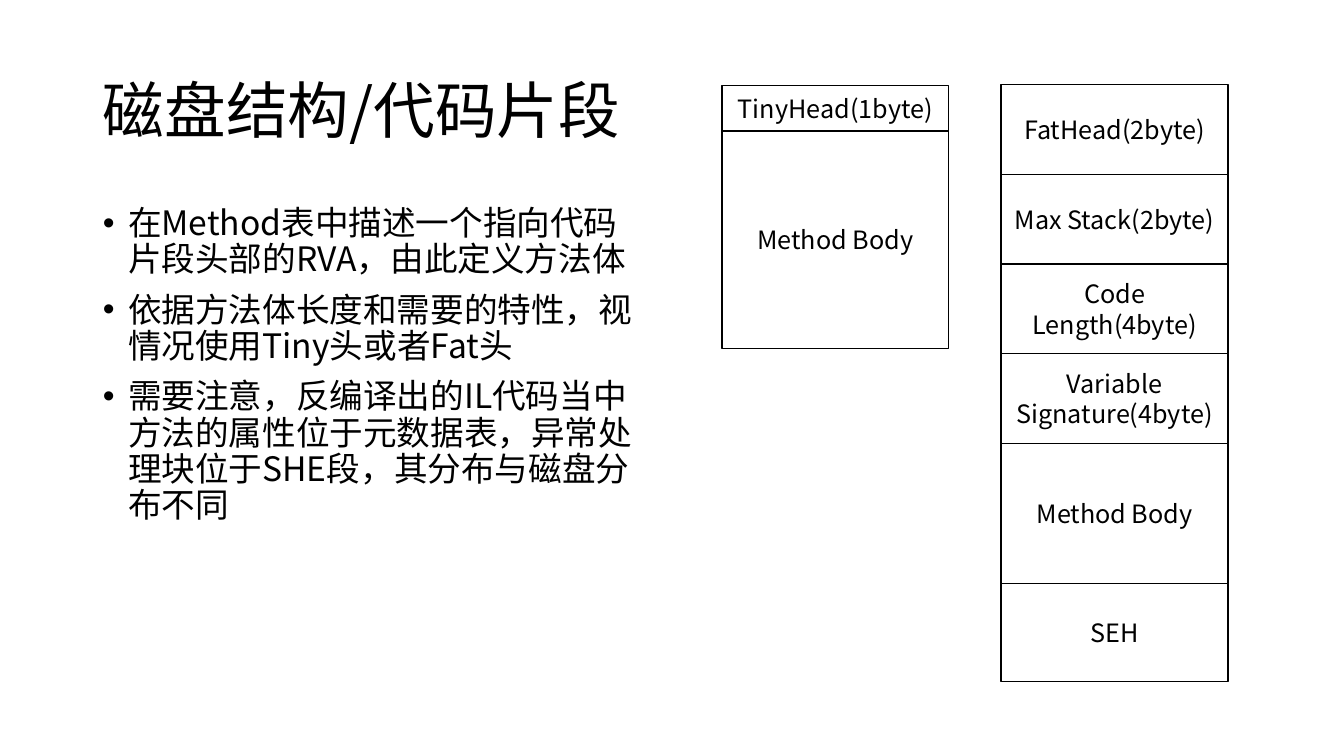
from lxml import etree
from pptx import Presentation
from pptx.dml.color import RGBColor
from pptx.enum import shapes, text
from pptx.oxml.ns import qn
from pptx.util import Inches, Pt

BLACK = RGBColor(0x00, 0x00, 0x00)
FONT = "Noto Sans CJK SC"
BLOCK_WIDTH = 2.25

TITLE = "磁盘结构/代码片段"
POINTS = [
    "在Method表中描述一个指向代码片段头部的RVA，由此定义方法体",
    "依据方法体长度和需要的特性，视情况使用Tiny头或者Fat头",
    "需要注意，反编译出的IL代码当中方法的属性位于元数据表，异常处理块位于SHE段，其分布与磁盘分布不同",
]
TINY_LAYOUT = [("TinyHead(1byte)", 0.45), ("Method Body", 2.16)]
FAT_LAYOUT = [
    ("FatHead(2byte)", 0.89),
    ("Max Stack(2byte)", 0.89),
    ("Code Length(4byte)", 0.89),
    ("Variable Signature(4byte)", 0.89),
    ("Method Body", 1.39),
    ("SEH", 0.97),
]


def format_paragraph(paragraph, size, alignment):
    paragraph.alignment = alignment
    paragraph.font.size = Pt(size)
    paragraph.font.color.rgb = BLACK
    paragraph.font.name = FONT
    defaults = paragraph._p.pPr.find(qn("a:defRPr"))
    etree.SubElement(defaults, qn("a:ea")).set("typeface", FONT)


def place(shape, left, top, width, height):
    shape.left, shape.top = Inches(left), Inches(top)
    shape.width, shape.height = Inches(width), Inches(height)


def fill_title(title):
    place(title, 0.92, 0.4, 11.5, 1.45)
    frame = title.text_frame
    frame.text = TITLE
    frame.auto_size = text.MSO_AUTO_SIZE.NONE
    frame.vertical_anchor = text.MSO_ANCHOR.MIDDLE
    frame.paragraphs[0].line_spacing = 0.9
    format_paragraph(frame.paragraphs[0], 44, text.PP_ALIGN.LEFT)


def fill_points(body):
    place(body, 0.92, 2, 5.54, 4.76)
    frame = body.text_frame
    frame.text = "\n".join(POINTS)
    frame.auto_size = text.MSO_AUTO_SIZE.NONE
    for paragraph in frame.paragraphs:
        paragraph.line_spacing = 0.9
        paragraph.space_before = Pt(10)
        format_paragraph(paragraph, 24, text.PP_ALIGN.LEFT)
        properties = paragraph._p.pPr
        properties.set("marL", str(Inches(0.25)))
        properties.set("indent", str(-Inches(0.25)))


def add_block(slide, label, left, top, height):
    block = slide.shapes.add_shape(
        shapes.MSO_SHAPE.RECTANGLE,
        Inches(left), Inches(top), Inches(BLOCK_WIDTH), Inches(height))
    block.shadow.inherit = False
    block.fill.background()
    block.line.color.rgb = BLACK
    block.line.width = Pt(1)
    frame = block.text_frame
    frame.text = label
    frame.word_wrap = True
    frame.vertical_anchor = text.MSO_ANCHOR.MIDDLE
    format_paragraph(frame.paragraphs[0], 18, text.PP_ALIGN.CENTER)


def add_stack(slide, left, top, blocks):
    """Stack labelled blocks downwards without gaps."""
    for label, height in blocks:
        add_block(slide, label, left, top, height)
        top += height


def main():
    presentation = Presentation()
    presentation.slide_width = Inches(13.33)
    presentation.slide_height = Inches(7.5)
    slide = presentation.slides.add_slide(presentation.slide_layouts[1])
    fill_title(slide.shapes.title)
    fill_points(slide.placeholders[1])
    add_stack(slide, 7.16, 0.85, TINY_LAYOUT)
    add_stack(slide, 9.93, 0.84, FAT_LAYOUT)
    presentation.save("out.pptx")


if __name__ == "__main__":
    main()
